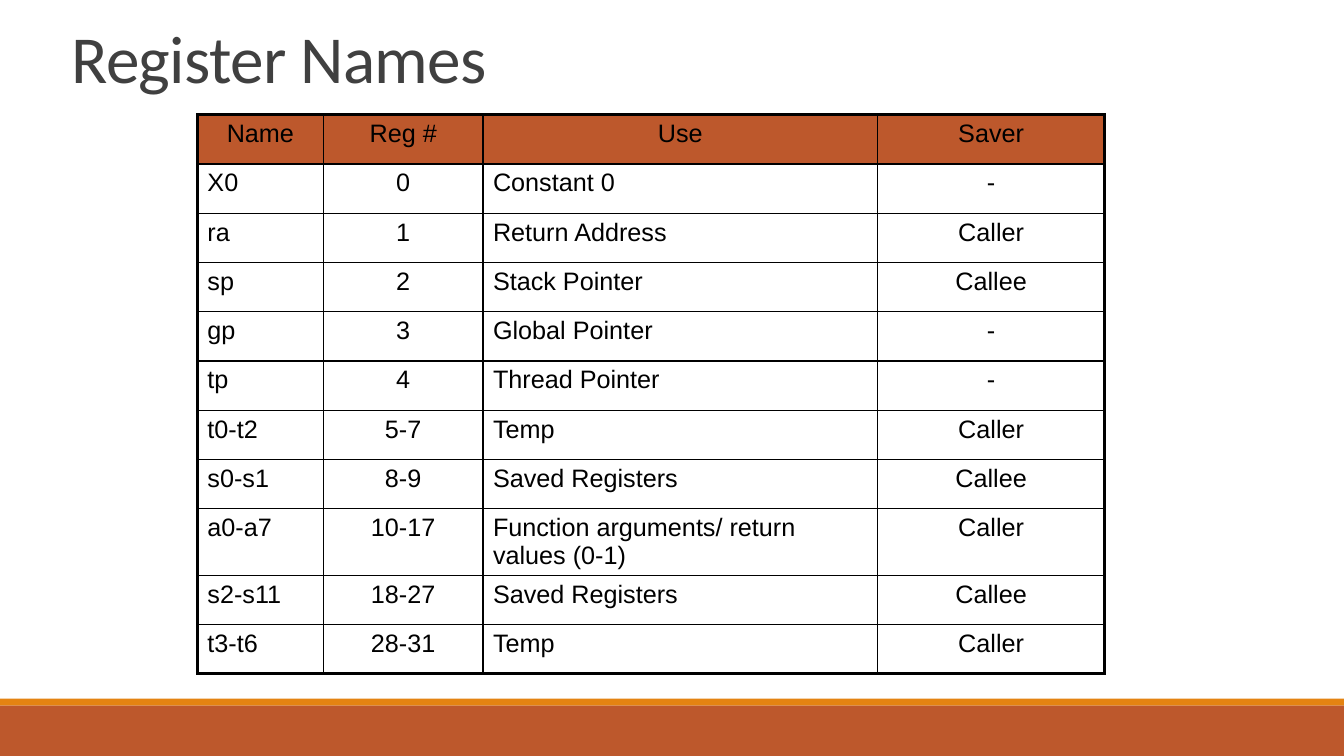
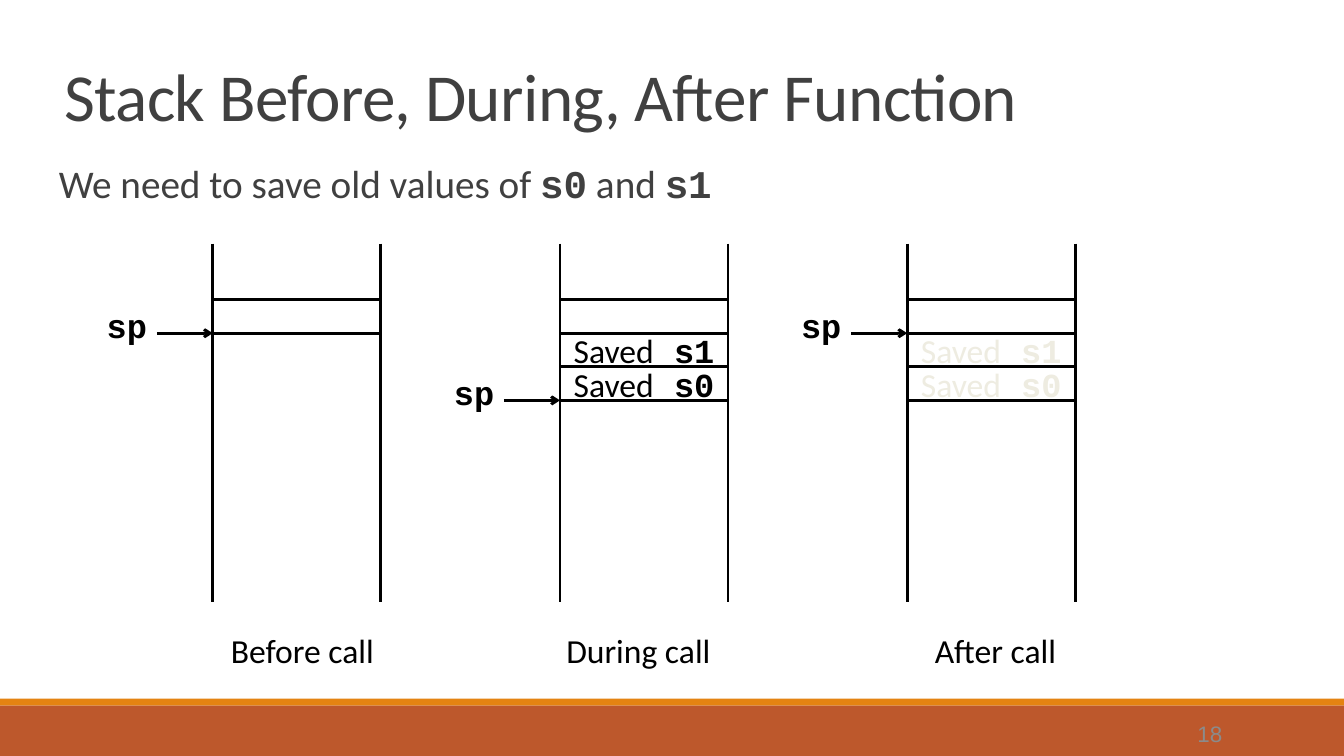
from dataclasses import dataclass

from lxml import etree
from pptx import Presentation
from pptx.dml.color import RGBColor
from pptx.enum.shapes import MSO_CONNECTOR, MSO_SHAPE
from pptx.enum.text import MSO_ANCHOR, PP_ALIGN
from pptx.oxml.ns import qn
from pptx.util import Pt

LEFT, MID, RIGHT = PP_ALIGN.LEFT, PP_ALIGN.CENTER, PP_ALIGN.RIGHT
TOP, HALF, LOW = MSO_ANCHOR.TOP, MSO_ANCHOR.MIDDLE, MSO_ANCHOR.BOTTOM
RECT, LINE = MSO_SHAPE.RECTANGLE, MSO_CONNECTOR.STRAIGHT


@dataclass(frozen=True)
class Theme:
    """Colours, fonts and type sizes."""
    rust: str = "BD582C"
    gold: str = "E48312"
    dark: str = "404040"
    black: str = "000000"
    white: str = "FFFFFF"
    pale: str = "EEECE1"
    grey: str = "8B8B8B"
    sans: str = "Calibri"
    cell: str = "Arial"
    code: str = "Courier New"
    head: int = 48
    lead: int = 28
    label: int = 24
    grid: int = 18
    foot: int = 16
    rule: int = 2
    thin: int = 1
    thick: float = 2.25


def put(item, **form):
    """Set each format value on an item."""
    for key, val in form.items():
        setattr(item, key, val)


def add(node, tag, **form):
    """Append a drawing element with attributes."""
    return etree.SubElement(node, qn("a:" + tag), form)


class Deck:
    """Holds the style and the current slide."""

    def __init__(self, theme):
        """Open a wide presentation."""
        self.th, self.prs = theme, Presentation()
        put(self.prs, slide_width=Pt(960), slide_height=Pt(540))
        self.base = self.prs.slide_layouts.get_by_name("Title Only")
        self.page = None

    def start(self, text, x, y, w, h, anchor):
        """Add a slide with its title; the first one also fills the layout."""
        th = self.th
        self.page = self.prs.slides.add_slide(self.base)
        if len(self.prs.slides) == 1:
            self.bands()
        title = self.page.shapes.title
        put(title, left=Pt(x), top=Pt(y), width=Pt(w), height=Pt(h))
        self.words(title.text_frame, [(text, th.sans)], th.head, th.dark,
                   align=LEFT, anchor=anchor, pad=(7.2, 3.6), lead=0.85)
        run = title.text_frame.paragraphs[0].runs[0]
        run.font._element.set("spc", "-50")

    def bands(self):
        """Put the bottom bands on the shared layout."""
        for y, h, fill in ((504, 36, self.th.rust), (499, 5, self.th.gold)):
            band = self.rect(0, y, 960, h, fill)
            self.base.shapes.element.insert(2, band.element)

    def words(self, frame, parts, size, color, align=MID, anchor=HALF,
              pad=(0, 0), lead=1.0):
        """Fill a text frame with (text, font) parts; code is bold."""
        side, edge = map(Pt, pad)
        put(frame, word_wrap=True, vertical_anchor=anchor, margin_left=side,
            margin_right=side, margin_top=edge, margin_bottom=edge)
        para = frame.paragraphs[0]
        put(para, alignment=align, line_spacing=lead)
        for text, face in parts:
            run = para.add_run()
            run.text = text
            put(run.font, name=face, size=Pt(size), bold=face == self.th.code)
            run.font.color.rgb = RGBColor.from_string(color)

    def text(self, x, y, w, h, parts, size, color, **form):
        """Add a text box."""
        box = self.page.shapes.add_textbox(Pt(x), Pt(y), Pt(w), Pt(h))
        self.words(box.text_frame, parts, size, color, **form)

    def rect(self, x, y, w, h, fill=None, edge=None):
        """Add a rectangle."""
        box = self.page.shapes.add_shape(RECT, Pt(x), Pt(y), Pt(w), Pt(h))
        box.shadow.inherit = False
        for part, color in ((box.fill, fill), (box.line.fill, edge)):
            if color:
                part.solid()
                part.fore_color.rgb = RGBColor.from_string(color)
            else:
                part.background()
        if edge:
            box.line.width = Pt(self.th.rule)
        return box

    def line(self, x, y, to_x, to_y, arrow=False):
        """Add a line, with an arrowhead if asked."""
        line = self.page.shapes.add_connector(
            LINE, Pt(x), Pt(y), Pt(to_x), Pt(to_y))
        line.line.width = Pt(self.th.rule)
        line.line.color.rgb = RGBColor.from_string(self.th.black)
        props = line.element.spPr
        if arrow:
            add(props.find(qn("a:ln")), "tailEnd", type="arrow")
        add(props, "effectLst")

    def table(self, x, y, wide, high, rows, aligns):
        """Add a table with a heavy frame and a filled head row."""
        th = self.th
        last, end = len(rows) - 1, len(wide) - 1
        grid = self.page.shapes.add_table(
            len(rows), len(wide), Pt(x), Pt(y), Pt(sum(wide)),
            Pt(high * len(rows))).table
        put(grid, first_row=False, horz_banding=False)
        for col, w in zip(grid.columns, wide):
            col.width = Pt(w)
        for r, row in enumerate(rows):
            grid.rows[r].height = Pt(high)
            for c, text in enumerate(row):
                cell = grid.cell(r, c)
                self.frame(cell, L=c == 0, R=c == end, T=r == 0, B=r == last)
                if r:
                    cell.fill.background()
                else:
                    cell.fill.solid()
                    cell.fill.fore_color.rgb = RGBColor.from_string(th.rust)
                self.words(cell.text_frame, [(text, th.cell)], th.grid,
                           th.black, align=aligns[c] if r else MID)
                put(cell, vertical_anchor=TOP, margin_left=Pt(7.2),
                    margin_right=Pt(7.2), margin_top=Pt(3.6),
                    margin_bottom=Pt(3.6))

    def frame(self, cell, **outer):
        """Draw cell borders, thick on outer sides."""
        props = cell._tc.get_or_add_tcPr()
        for side, thick in outer.items():
            w = Pt(self.th.thick if thick else self.th.thin)
            edge = add(props, "ln" + side, w=str(w))
            add(add(edge, "solidFill"), "srgbClr", val=self.th.black)

    def stack(self, x, name, shift, level, saved, ink, fill):
        """Draw a stack with its pointer, saved cells and caption."""
        th = self.th
        wide, top, high = 120, 214, 24
        for side in (x, x + wide):
            self.line(side, 174, side, 430)
        y = top + high * level
        self.line(x - 40, y, x, y, arrow=True)
        self.text(x - 91, y - high, 44, 36, [("sp", th.code)],
                  th.label, th.black, align=RIGHT)
        self.rect(x, top, wide, high, th.white, th.black)
        for step, reg in enumerate(saved, 1):
            box = self.rect(x, top + high * step, wide, high, fill, th.black)
            self.words(box.text_frame, [("Saved", th.sans),
                       (" " + reg, th.code)], th.label, ink)
        self.text(x + shift, 446, wide, 36, [(name, th.sans)],
                  th.label, th.black)


ROWS = [
    ("Name", "Reg #", "Use", "Saver"),
    ("X0", "0", "Constant 0", "-"),
    ("ra", "1", "Return Address", "Caller"),
    ("sp", "2", "Stack Pointer", "Callee"),
    ("gp", "3", "Global Pointer", "-"),
    ("tp", "4", "Thread Pointer", "-"),
    ("t0-t2", "5-7", "Temp", "Caller"),
    ("s0-s1", "8-9", "Saved Registers", "Callee"),
    ("a0-a7", "10-17", "Function arguments/ return values (0-1)", "Caller"),
    ("s2-s11", "18-27", "Saved Registers", "Callee"),
    ("t3-t6", "28-31", "Temp", "Caller"),
]


def main():
    """Build both slides and save them."""
    th = Theme()
    deck = Deck(th)

    deck.start("Register Names", 44, 17, 648, 86, TOP)
    deck.table(141, 82, (90, 114, 282, 162), 35.2, ROWS,
               (LEFT, MID, LEFT, MID))

    deck.start("Stack Before, During, After Function", 39, 33, 792, 67, LOW)
    deck.text(42, 114, 905, 76, [
        ("We need to save old values of ", th.sans), ("s0", th.code),
        (" and ", th.sans), ("s1", th.code)], th.lead, th.dark,
        align=LEFT, anchor=TOP, pad=(0, 3.6), lead=0.9)
    regs = ("s1", "s0")
    stacks = (("Before call", 4, 1, (), th.black, None),
              ("During call", -4, 3, regs, th.black, None),
              ("After call", 3, 1, regs, th.pale, th.white))
    for spot, form in enumerate(stacks):
        deck.stack(152 + 248 * spot, *form)
    deck.text(773, 510, 100, 28, [("18", th.cell)], th.foot, th.grey,
              align=RIGHT)

    deck.prs.save("out.pptx")


if __name__ == "__main__":
    main()
